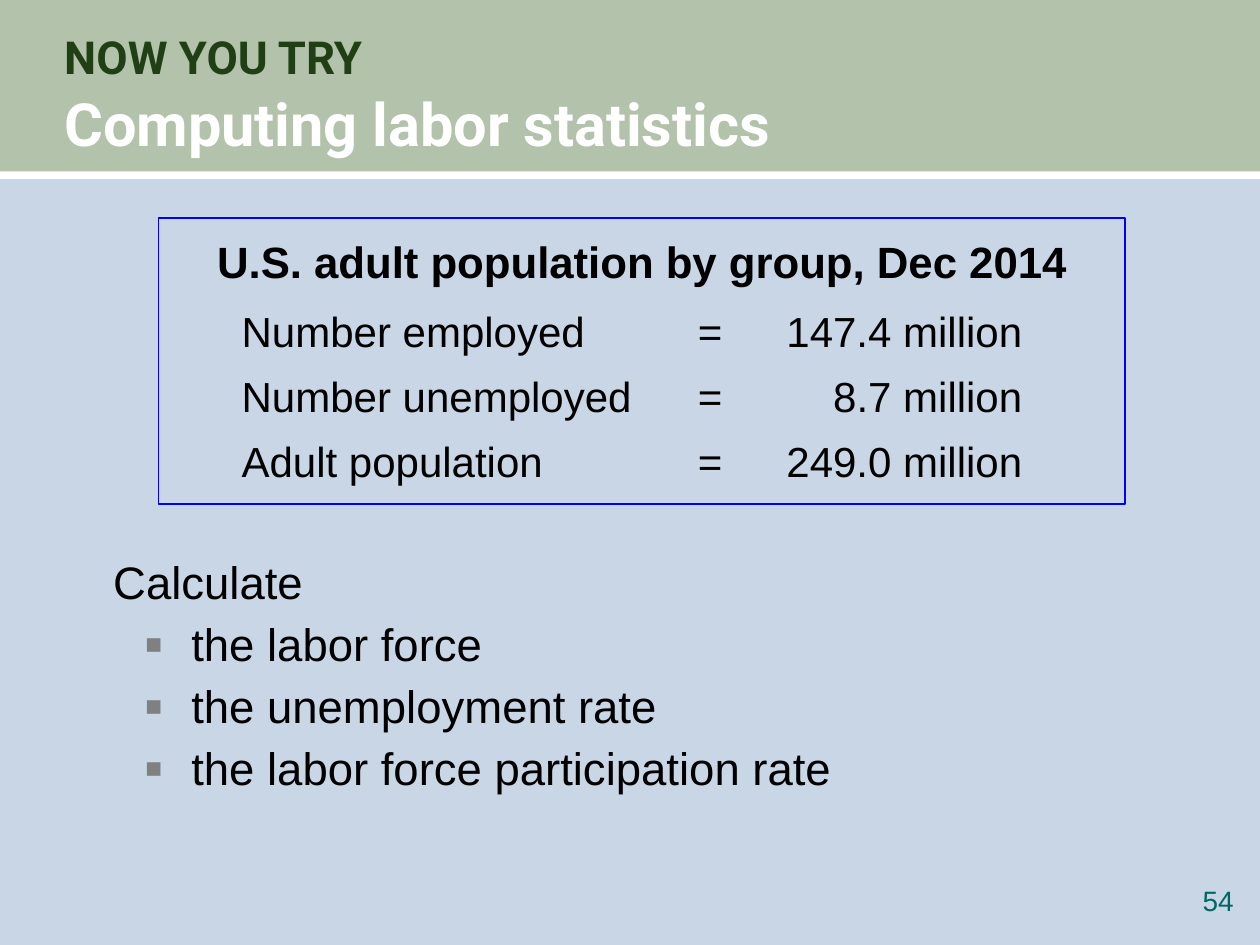
from lxml.etree import SubElement
from pptx import Presentation
from pptx.dml.color import RGBColor
from pptx.enum.shapes import MSO_SHAPE as Shape
from pptx.enum.text import MSO_ANCHOR as Anchor, PP_ALIGN as Align
from pptx.oxml.ns import qn
from pptx.util import Inches, Pt

KICKER, TITLE = "NOW YOU TRY", "Computing labor statistics"
GROUPS_HEADING = "U.S. adult population by group, Dec 2014"
GROUPS = [
    ("Number employed", "147.4 million"),
    ("Number unemployed", "8.7 million"),
    ("Adult population", "249.0 million"),
]
TASK = "Calculate"
TASK_ITEMS = ["the labor force", "the unemployment rate", "the labor force participation rate"]
PAGE_NUMBER = "54"
GROUP_TABS = [(0.56, "l"), (4.18, "l"), (5.44, "dec")]


def color(hex_value):
    return RGBColor.from_string(hex_value)


def add_band(slide, top, height, fill):
    band = slide.shapes.add_shape(Shape.RECTANGLE, 0, Inches(top), Inches(10), Inches(height))
    band.shadow.inherit = False
    band.fill.solid()
    band.fill.fore_color.rgb = color(fill)
    band.line.fill.background()


def add_text(slide, box, text, margin=None):
    frame = slide.shapes.add_textbox(*map(Inches, box)).text_frame
    frame.word_wrap = True
    if margin is not None:
        frame.margin_left = frame.margin_right = margin
        frame.margin_top = frame.margin_bottom = margin
    frame.text = text
    return frame


def style(run, size, hex_value="000000", bold=False, font="Arial"):
    run.font.name, run.font.size, run.font.bold = font, Pt(size), bold
    run.font.color.rgb = color(hex_value)


def space(paragraph, lines, before=None):
    paragraph.line_spacing = lines
    paragraph.space_before = Pt(before or 0)
    if before is None:
        gap = paragraph._p.pPr.find(qn("a:spcBef"))
        gap.remove(gap[0])
        SubElement(gap, qn("a:spcPct"), val="10000")


def add_tabs(paragraph, stops):
    tabs = SubElement(paragraph._p.get_or_add_pPr(), qn("a:tabLst"))
    for position, kind in stops:
        SubElement(tabs, qn("a:tab"), pos=str(Inches(position)), algn=kind)


def add_bullet(paragraph):
    paragraph.level = 1
    props = paragraph._p.get_or_add_pPr()
    props.set("marL", str(Inches(0.62)))
    props.set("indent", str(Inches(-0.37)))
    SubElement(SubElement(props, qn("a:buClr")), qn("a:srgbClr"), val="808080")
    SubElement(props, qn("a:buSzPct"), val="120000")
    SubElement(props, qn("a:buFont"), typeface="Arial")
    SubElement(props, qn("a:buChar"), char="▪")


def add_header(slide):
    add_band(slide, -0.01, 1.41, "B3C2AA")
    frame = add_text(slide, (0.51, 0.22, 9.02, 1.03), f"{KICKER}\v{TITLE}", 0)
    frame.vertical_anchor = Anchor.MIDDLE
    heading = frame.paragraphs[0]
    heading.line_spacing = 1.05
    kicker, title = heading.runs
    style(kicker, 26, "203F15", True, "Roboto")
    style(title, 34, "FFFFFF", True, "Roboto")
    add_band(slide, 1.36, 0.06, "FFFFFF")


def add_groups(slide):
    panel = slide.shapes.add_shape(Shape.RECTANGLE, *map(Inches, (1.26, 1.73, 7.67, 2.27)))
    panel.shadow.inherit = False
    panel.fill.background()
    panel.line.color.rgb = color("0000FF")
    panel.line.width = Pt(0.75)
    frame = panel.text_frame
    frame.vertical_anchor = Anchor.TOP
    rows = [f"\t{group} \t= \t{count}" for group, count in GROUPS]
    frame.text = "\n".join([GROUPS_HEADING, *rows])
    for index, paragraph in enumerate(frame.paragraphs):
        is_heading = index == 0
        paragraph.alignment = Align.CENTER if is_heading else Align.LEFT
        space(paragraph, 1.2, 5 if index == 1 else None)
        if not is_heading:
            add_tabs(paragraph, GROUP_TABS)
        style(paragraph.runs[0], 25 if is_heading else 24, bold=is_heading)


def add_task(slide):
    frame = add_text(slide, (0.8, 4.33, 8.45, 2.65), "\n".join([TASK, *TASK_ITEMS]))
    for index, paragraph in enumerate(frame.paragraphs):
        space(paragraph, 1.05)
        if index:
            add_bullet(paragraph)
        style(paragraph.runs[0], 26)


def main():
    """Build the labor statistics exercise slide."""
    deck = Presentation()
    deck.slide_width, deck.slide_height = Inches(10), Inches(7.5)
    slide = deck.slides.add_slide(deck.slide_layouts[6])
    slide.background.fill.solid()
    slide.background.fill.fore_color.rgb = color("C9D6E5")
    add_header(slide)
    number = add_text(slide, (9.24, 7.01, 0.55, 0.32), PAGE_NUMBER, 0).paragraphs[0]
    number.alignment = Align.RIGHT
    style(number.runs[0], 16, "006666")
    add_groups(slide)
    add_task(slide)
    deck.save("out.pptx")


if __name__ == "__main__":
    main()
